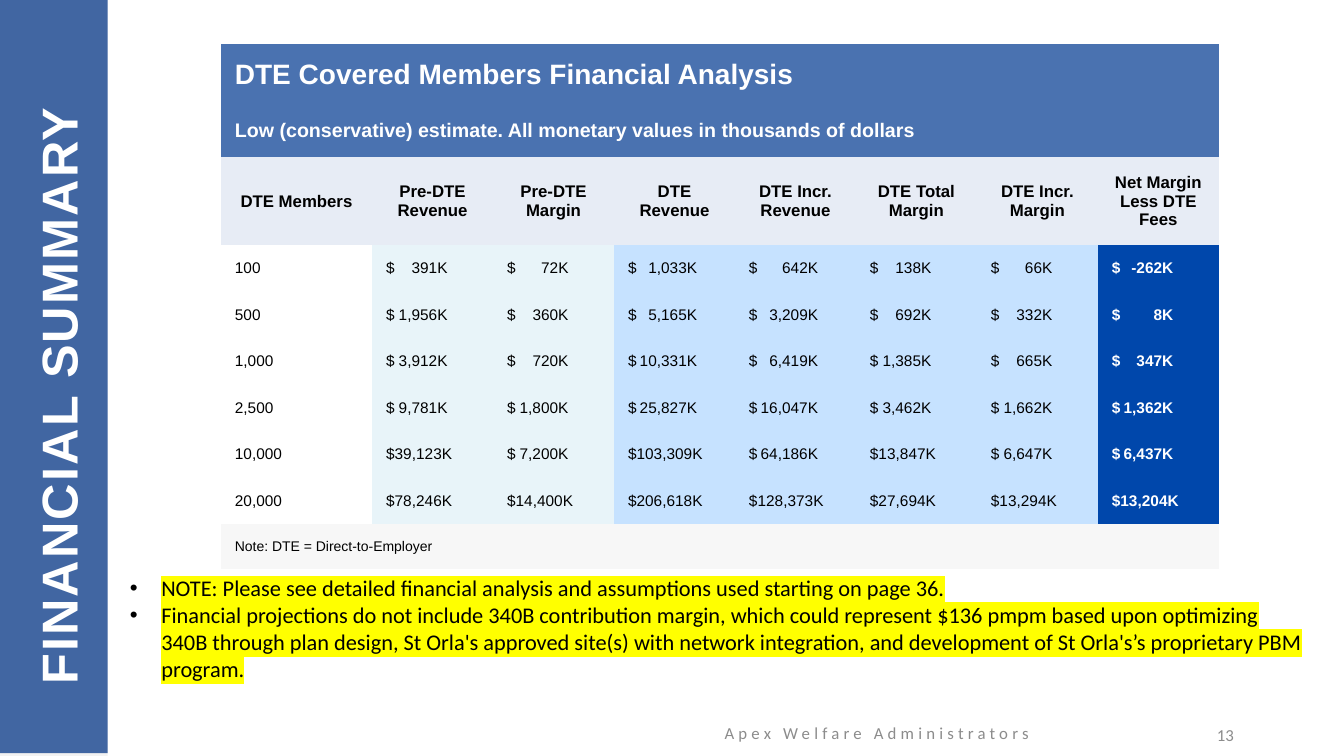
"""Build the financial summary slide with its sidebar, table and notes."""
from lxml.etree import SubElement
from pptx import Presentation
from pptx.dml.color import RGBColor
from pptx.enum.shapes import MSO_SHAPE
from pptx.enum.text import MSO_ANCHOR as ANCHOR, PP_ALIGN as ALIGN
from pptx.oxml import parse_xml
from pptx.oxml.ns import nsdecls, qn
from pptx.util import Pt

WHITE = RGBColor(0xFF, 0xFF, 0xFF)
BLACK = RGBColor(0, 0, 0)
GRAY = RGBColor(0x8C, 0x8C, 0x8C)
SIDEBAR_BASE = RGBColor(0xF2, 0xF2, 0xF2)
SIDEBAR_BLUE = RGBColor(0x25, 0x4F, 0x96)
TITLE_BLUE = RGBColor(0x4A, 0x72, 0xB0)
HEADER_FILL = RGBColor(0xE7, 0xEC, 0xF5)
PRE_FILL = RGBColor(0xE8, 0xF4, 0xF9)
DTE_FILL = RGBColor(0xC6, 0xE2, 0xFF)
NET_FILL = RGBColor(0x00, 0x47, 0xAB)
NOTE_FILL = RGBColor(0xF7, 0xF7, 0xF7)
NO_STYLE = "{2D5ABB26-0587-4C30-8999-92F81FD0307C}"


def write(paragraph, text, size, color, name="Arial", bold=False, align=ALIGN.LEFT):
    """Add one formatted run to a paragraph and return it."""
    paragraph.alignment = align
    run = paragraph.add_run()
    run.text = text
    run.font.color.rgb = color
    formats = {"size": Pt(size), "name": name, "bold": bold}
    for attribute, value in formats.items():
        setattr(run.font, attribute, value)
    return run


def add_box(left, top, width, height, anchor=ANCHOR.MIDDLE):
    """Add a wrapping text box."""
    box = slide.shapes.add_textbox(Pt(left), Pt(top), Pt(width), Pt(height))
    box.text_frame.word_wrap = True
    box.text_frame.vertical_anchor = anchor
    return box


presentation = Presentation()
presentation.slide_width, presentation.slide_height = Pt(960), Pt(540)
slide = presentation.slides.add_slide(presentation.slide_layouts[6])

for top, color, opacity in ((0, SIDEBAR_BASE, 100), (-2, SIDEBAR_BLUE, 86)):
    sidebar = slide.shapes.add_shape(MSO_SHAPE.RECTANGLE, 0, Pt(top), Pt(77), Pt(540))
    sidebar.shadow.inherit = False
    sidebar.fill.solid()
    sidebar.fill.fore_color.rgb = color
    sidebar.line.fill.background()
    if opacity < 100:
        fill_color = sidebar.fill._xPr.find(qn("a:solidFill"))[0]
        SubElement(fill_color, qn("a:alpha"), val=str(opacity * 1000))

title = add_box(-191.4, 234, 465, 59)
title.rotation = 270
run = write(title.text_frame.paragraphs[0], "FINANCIAL SUMMARY", 36, WHITE, bold=True)
run.font._element.set("spc", "150")

footer = add_box(464.4, 509, 324, 28.8)
run = write(footer.text_frame.paragraphs[0], "Apex Welfare Administrators", 12, GRAY,
            "Calibri", align=ALIGN.CENTER)
run.font._element.set("spc", "300")
page_number = add_box(672.5, 510.5, 216, 28.8)
write(page_number.text_frame.paragraphs[0], "13", 12, GRAY, "Calibri", align=ALIGN.RIGHT)

BANNERS = {
    0: ("DTE Covered Members Financial Analysis", 20, WHITE, TITLE_BLUE, True),
    1: ("Low (conservative) estimate. All monetary values in thousands of dollars",
        14, WHITE, TITLE_BLUE, True),
    9: ("Note: DTE = Direct-to-Employer", 10, BLACK, NOTE_FILL, False),
}
HEADERS = ["DTE Members", "Pre-DTE Revenue", "Pre-DTE Margin", "DTE Revenue",
           "DTE Incr. Revenue", "DTE Total Margin", "DTE Incr. Margin",
           "Net Margin Less DTE Fees"]
ROWS = [
    ["100", "$ 391K", "$ 72K", "$ 1,033K", "$ 642K", "$ 138K", "$ 66K", "$ -262K"],
    ["500", "$ 1,956K", "$ 360K", "$ 5,165K", "$ 3,209K", "$ 692K", "$ 332K", "$ 8K"],
    ["1,000", "$ 3,912K", "$ 720K", "$ 10,331K", "$ 6,419K", "$ 1,385K", "$ 665K", "$ 347K"],
    ["2,500", "$ 9,781K", "$ 1,800K", "$ 25,827K", "$ 16,047K", "$ 3,462K", "$ 1,662K",
     "$ 1,362K"],
    ["10,000", "$39,123K", "$ 7,200K", "$103,309K", "$ 64,186K", "$13,847K", "$ 6,647K",
     "$ 6,437K"],
    ["20,000", "$78,246K", "$14,400K", "$206,618K", "$128,373K", "$27,694K", "$13,294K",
     "$13,204K"],
]
COLUMN_FILLS = [None] + [PRE_FILL] * 2 + [DTE_FILL] * 4 + [NET_FILL]
TAB_STOPS = [0, 44, 44, 49.5, 49.5, 44, 44, 44]
ROW_HEIGHTS = [44, 36.8, 62.9] + [33.2] * 6 + [32.2]

table = slide.shapes.add_table(10, 8, Pt(157.8), Pt(31.3), Pt(712.8), Pt(375.1)).table
table.first_row = table.horz_banding = False
table._tbl.tblPr.find(qn("a:tableStyleId")).text = NO_STYLE
for column, width in zip(table.columns, [108] + [86.4] * 7):
    column.width = Pt(width)
for row, height in zip(table.rows, ROW_HEIGHTS):
    row.height = Pt(height)

for row_index in range(10):
    if row_index in BANNERS:
        table.cell(row_index, 0).merge(table.cell(row_index, 7))
    for column_index in range(8):
        cell = table.cell(row_index, column_index)
        if cell.is_spanned:
            continue
        align = ALIGN.LEFT
        paragraph = cell.text_frame.paragraphs[0]
        if row_index in BANNERS:
            text, size, color, fill, bold = BANNERS[row_index]
        elif row_index == 2:
            text, size, color, fill, bold = HEADERS[column_index], 12, BLACK, HEADER_FILL, True
            align = ALIGN.CENTER
        else:
            text = ROWS[row_index - 3][column_index].replace("$ ", "$\t")
            size, fill, bold = 11, COLUMN_FILLS[column_index], column_index == 7
            color = WHITE if bold else BLACK
            if "\t" in text:
                tabs = SubElement(paragraph._p.get_or_add_pPr(), qn("a:tabLst"))
                SubElement(tabs, qn("a:tab"), pos=str(Pt(TAB_STOPS[column_index])), algn="r")
        write(paragraph, text, size, color, bold=bold, align=align)
        cell.vertical_anchor = ANCHOR.MIDDLE
        for side in ("left", "right", "top", "bottom"):
            setattr(cell, f"margin_{side}", Pt(10))
        if fill is None:
            cell.fill.background()
        else:
            cell.fill.solid()
            cell.fill.fore_color.rgb = fill

NOTES = [
    "NOTE: Please see detailed financial analysis and assumptions used starting on page 36.",
    "Financial projections do not include 340B contribution margin, which could represent "
    "$136 pmpm based upon optimizing 340B through plan design, St Orla's approved site(s) "
    "with network integration, and development of St Orla's’s proprietary PBM program.",
]
notes = add_box(85.7, 406.8, 856.8, 85, ANCHOR.TOP).text_frame
for index, note in enumerate(NOTES):
    paragraph = notes.add_paragraph() if index else notes.paragraphs[0]
    properties = paragraph._p.get_or_add_pPr()
    properties.set("marL", str(Pt(22.5)))
    properties.set("indent", str(Pt(-22.5)))
    SubElement(properties, qn("a:buFont"), typeface="Arial")
    SubElement(properties, qn("a:buChar"), char="•")
    run = write(paragraph, note, 16, BLACK, "Calibri")
    highlight = parse_xml(f'<a:highlight {nsdecls("a")}><a:srgbClr val="FFFF00"/></a:highlight>')
    run.font._element.find(qn("a:solidFill")).addnext(highlight)

presentation.save("out.pptx")
